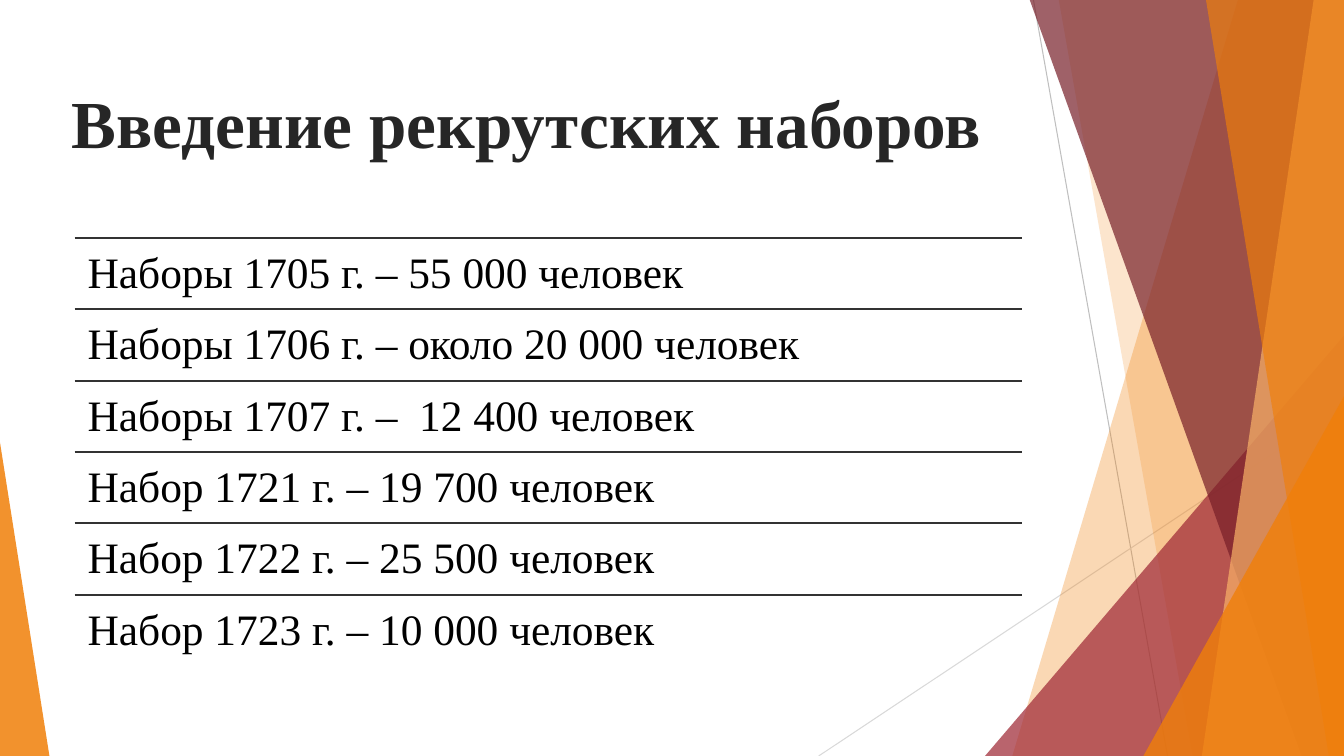
"""Build the slide on recruit levies under a faceted orange and red frame."""
from typing import NamedTuple

from lxml import etree
from pptx import Presentation
from pptx.dml.color import RGBColor
from pptx.enum.shapes import MSO_CONNECTOR, MSO_SHAPE
from pptx.enum.text import MSO_ANCHOR, MSO_AUTO_SIZE, PP_ALIGN
from pptx.oxml.ns import qn
from pptx.util import Inches, Pt

STRAIGHT = MSO_CONNECTOR.STRAIGHT
WEDGE = MSO_SHAPE.RIGHT_TRIANGLE
TRIANGLE = MSO_SHAPE.ISOSCELES_TRIANGLE
TOP, BOTTOM = MSO_ANCHOR.TOP, MSO_ANCHOR.BOTTOM
LEFT, CENTER = PP_ALIGN.LEFT, PP_ALIGN.CENTER
FIXED = MSO_AUTO_SIZE.NONE

ORANGE = RGBColor(0xF0, 0x7F, 0x09)
PEACH = RGBColor(0xF9, 0xB2, 0x68)
RED = RGBColor(0x9F, 0x29, 0x36)
WINE = RGBColor(0x77, 0x1F, 0x28)
SILVER = RGBColor(0xBF, 0xBF, 0xBF)
PALE = RGBColor(0xD9, 0xD9, 0xD9)
RULE = RGBColor(0x32, 0x32, 0x32)
INK = RGBColor(0x26, 0x26, 0x26)
BLACK = RGBColor(0, 0, 0)

FONT = "Times New Roman"
WIDTH, HEIGHT = 13.33, 7.5
ROW_LEFT, ROW_TOP, ROW_WIDE, ROW_STEP = 0.74, 2.36, 9.4, 0.708


class Band(NamedTuple):
    """A strip reaching the right edge, slanted on its left side."""
    top: float
    foot: float
    color: RGBColor
    alpha: int


class Peak(NamedTuple):
    """A right-angled triangle standing on the bottom edge."""
    left: float
    top: float
    wide: float
    apex: float
    color: RGBColor
    alpha: int


FACETS = [
    Band(12.28, 10.04, ORANGE, 30),
    Band(10.5, 11.83, ORANGE, 20),
    Peak(9.77, 3.33, 3.56, 1, RED, 72),
    Band(10.21, 12.91, WINE, 70),
    Band(13.03, 11.92, PEACH, 70),
    Band(11.96, 13.18, ORANGE, 65),
    Peak(11.34, 3.93, 1.99, 1, ORANGE, 80),
    Peak(0, 4.39, 0.49, 0, ORANGE, 85),
]
LEVIES = [
    "Наборы 1705 г. – 55 000 человек",
    "Наборы 1706 г. – около 20 000 человек",
    "Наборы 1707 г. –  12 400 человек",
    "Набор 1721 г. – 19 700 человек",
    "Набор 1722 г. – 25 500 человек",
    "Набор 1723 г. – 10 000 человек",
]


def paint(shape, color: RGBColor, alpha: int) -> None:
    """Give a shape a see-through fill without line or shadow."""
    shape.shadow.inherit = False
    shape.line.fill.background()
    shape.fill.solid()
    shape.fill.fore_color.rgb = color
    tint = shape.fill._xPr.find(qn("a:solidFill"))[0]
    etree.SubElement(tint, qn("a:alpha")).set("val", str(alpha * 1000))


def add_band(slide, band: Band) -> None:
    """Draw a strip from the top edge to the bottom edge."""
    form = slide.shapes.build_freeform(Inches(band.top), Inches(-0.01))
    points = [(WIDTH, -0.01), (WIDTH, HEIGHT), (band.foot, HEIGHT)]
    form.add_line_segments([(Inches(x), Inches(y)) for x, y in points])
    paint(form.convert_to_shape(), band.color, band.alpha)


def add_peak(slide, peak: Peak) -> None:
    """Draw a triangle down to the bottom edge."""
    shape = slide.shapes.add_shape(
        TRIANGLE, Inches(peak.left), Inches(peak.top),
        Inches(peak.wide), Inches(HEIGHT - peak.top))
    shape.adjustments[0] = peak.apex
    paint(shape, peak.color, peak.alpha)


def add_rule(slide, start: tuple[float, float], end: tuple[float, float],
             color: RGBColor, width: float) -> None:
    """Draw a straight line without shadow."""
    ends = [Inches(n) for n in (*start, *end)]
    line = slide.shapes.add_connector(STRAIGHT, *ends)
    line.line.color.rgb = color
    line.line.width = Pt(width)
    etree.SubElement(line._element.spPr, qn("a:effectLst"))


def write(shape, text: str, *, size: float, color: RGBColor,
          bold: bool = False, align=LEFT, anchor=TOP,
          pad: tuple[float, float] = (0.1, 0.05), space: float = 1) -> None:
    """Fill a shape with one formatted paragraph."""
    frame = shape.text_frame
    frame.word_wrap = True
    frame.auto_size = FIXED
    frame.vertical_anchor = anchor
    frame.margin_left = frame.margin_right = Inches(pad[0])
    frame.margin_top = frame.margin_bottom = Inches(pad[1])
    para = frame.paragraphs[0]
    para.alignment = align
    para.line_spacing = space
    run = para.add_run()
    run.text = text
    run.font.name = FONT
    run.font.size = Pt(size)
    run.font.bold = bold
    run.font.color.rgb = color


def add_row(slide, index: int, text: str) -> None:
    """Draw one levy under its rule."""
    top = ROW_TOP + index * ROW_STEP
    add_rule(slide, (ROW_LEFT, top), (ROW_LEFT + ROW_WIDE, top), RULE, 1.5)
    box = slide.shapes.add_textbox(
        Inches(ROW_LEFT), Inches(top), Inches(ROW_WIDE), Inches(ROW_STEP))
    write(box, text, size=31, color=BLACK, pad=(0.13, 0.13), space=0.9)


def main() -> None:
    """Build and save the deck."""
    deck = Presentation()
    deck.slide_width, deck.slide_height = Inches(WIDTH), Inches(HEIGHT)
    slide = deck.slides.add_slide(deck.slide_layouts[5])
    add_rule(slide, (10.25, 0), (11.58, HEIGHT), SILVER, 0.75)
    add_rule(slide, (WIDTH, 4.03), (8.12, HEIGHT), PALE, 0.75)
    for facet in FACETS:
        if isinstance(facet, Band):
            add_band(slide, facet)
        else:
            add_peak(slide, facet)
    for index, text in enumerate(LEVIES):
        add_row(slide, index, text)
    title = slide.shapes.title
    title.left, title.top = Inches(-0.2), Inches(0.75)
    title.width, title.height = Inches(10.85), Inches(0.91)
    write(title, "Введение рекрутских наборов", size=48, color=INK,
          bold=True, align=CENTER, anchor=BOTTOM)
    deck.save("out.pptx")


if __name__ == "__main__":
    main()
